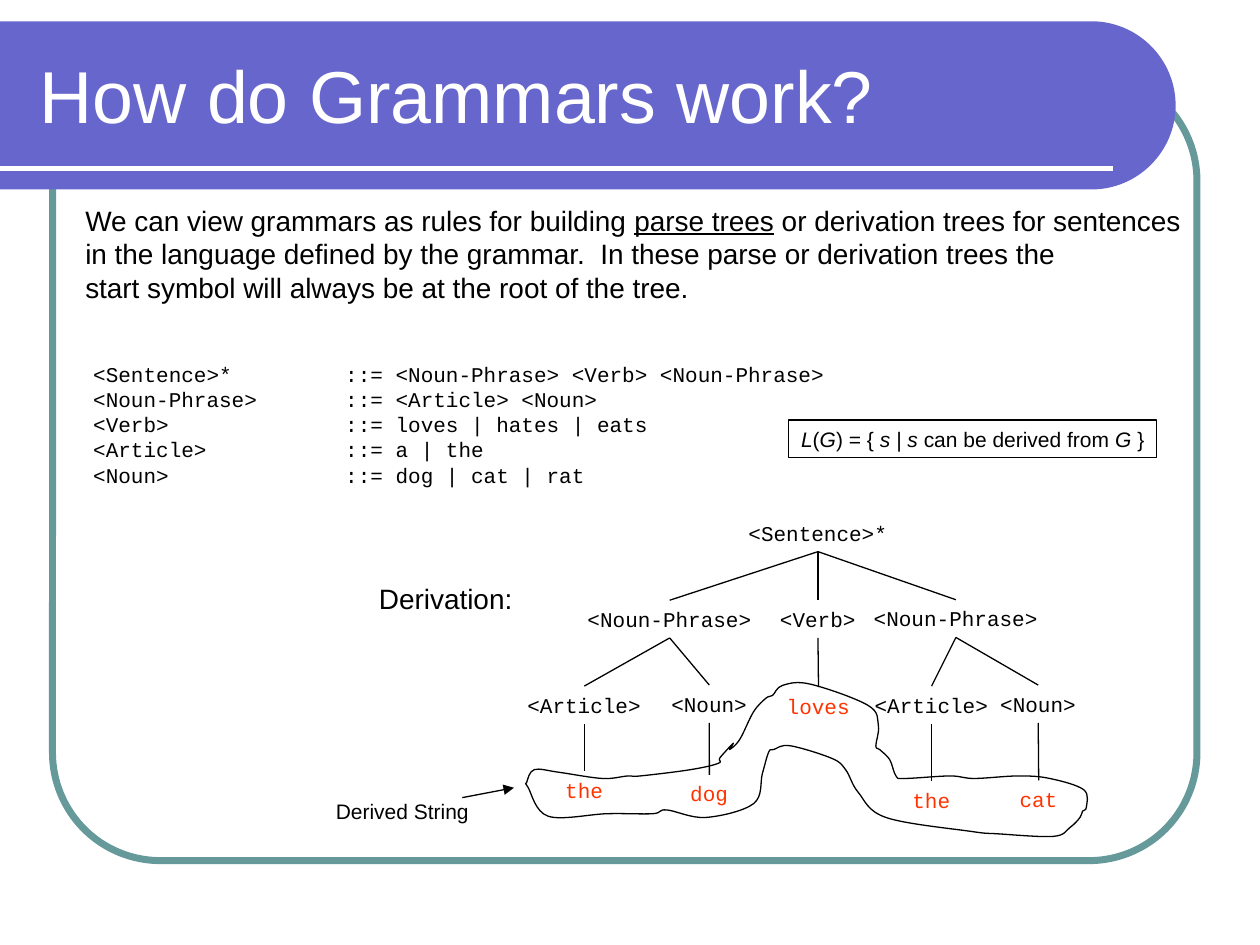
from lxml import etree
from pptx import Presentation
from pptx import util as u
from pptx.dml import color
from pptx.enum import shapes, text
from pptx.oxml import ns

SANS, MONO = "Arial", "Courier New"
BLACK, WHITE, RED = "000000", "FFFFFF", "FF3300"
PURPLE, TEAL = "6666CC", "669999"

INTRO = [
    [("We can view grammars as rules for building ", ""), ("parse trees", "u"),
     (" or derivation trees for sentences", "")],
    [("in the language defined by the grammar.  In these parse or derivation trees the ", ""),
     ("\n", ""), ("start symbol will always be at the root of the tree.", "")],
]
RULES = [
    ("<Sentence>*", "<Noun-Phrase> <Verb> <Noun-Phrase>"),
    ("<Noun-Phrase>", "<Article> <Noun>"),
    ("<Verb>", "loves | hates | eats"),
    ("<Article>", "a | the"),
    ("<Noun>", "dog | cat | rat"),
]
FORMULA = [[("L", "i"), ("(", ""), ("G", "i"), (") = { ", ""), ("s | s", "i"),
            (" can be derived from ", ""), ("G", "i"), (" }", "")]]

# Each node: label, centre and top in cm within the tree's box, children
TREE = ("<Sentence>*", 6.13, 0, [
    ("<Noun-Phrase>", 3.14, 1.74, [
        ("<Article>", 1.42, 3.47, [("the", 1.42, 5.18, [])]),
        ("<Noun>", 3.94, 3.45, [("dog", 3.94, 5.26, [])])]),
    ("<Verb>", 6.13, 1.74, [("loves", 6.14, 3.49, [])]),
    ("<Noun-Phrase>", 8.91, 1.73, [
        ("<Article>", 8.42, 3.47, [("the", 8.42, 5.39, [])]),
        ("<Noun>", 10.57, 3.45, [("cat", 10.58, 5.37, [])])]),
])

# Hand-drawn loop around the leaves, on a grid of 444 by 123 units
LOOP_GRID = (444, 123)
LOOP = [
    (6, 70), (0, 80), (1, 84), (17, 107), (64, 105), (100, 105), (111, 102), (142, 108),
    (180, 97), (187, 73), (192, 56), (196, 54), (209, 51), (242, 61), (253, 70), (263, 88),
    (285, 108), (352, 119), (374, 121), (418, 123), (431, 116), (439, 108), (441, 103),
    (444, 100), (442, 86), (415, 77), (390, 75), (355, 77), (336, 75), (300, 77), (293, 75),
    (288, 62), (280, 54), (277, 51), (279, 35), (271, 19), (225, 2), (203, 3), (195, 11),
    (190, 13), (180, 24), (169, 46), (161, 54), (164, 49), (160, 53), (153, 61), (152, 65),
    (130, 70), (90, 75), (80, 75), (60, 77), (25, 72),
]


def rgb(value):
    return color.RGBColor.from_string(value)


def style(shape, fill=None, line=None, width=0.75):
    shape.shadow.inherit = False
    if fill:
        shape.fill.solid()
        shape.fill.fore_color.rgb = rgb(fill)
    else:
        shape.fill.background()
    if line:
        shape.line.color.rgb = rgb(line)
        shape.line.width = u.Pt(width)
    else:
        shape.line.fill.background()


def add_line(slide, start, end, line=BLACK, width=0.75, arrow=False):
    ends = [u.Cm(value) for value in (*start, *end)]
    connector = slide.shapes.add_connector(shapes.MSO_CONNECTOR.STRAIGHT, *ends)
    connector.line.color.rgb = rgb(line)
    connector.line.width = u.Pt(width)
    if arrow:
        etree.SubElement(connector.line._get_or_add_ln(), ns.qn("a:tailEnd"), type="triangle")
    etree.SubElement(connector._element.spPr, ns.qn("a:effectLst"))
    return connector


def add_outline(slide, start, segments, **look):
    """Closed outline in cm; a segment has one point (line) or three (curve)."""
    builder = slide.shapes.build_freeform(*map(u.Cm, start))
    builder.add_line_segments([tuple(map(u.Cm, segment[-1])) for segment in segments])
    shape = builder.convert_to_shape()
    lines = list(shape._element.iter(ns.qn("a:lnTo")))
    for line, segment in zip(lines, segments):
        if len(segment) == 3:
            line.tag = ns.qn("a:cubicBezTo")
            for index, (x, y) in enumerate(segment[:2]):
                point = etree.Element(ns.qn("a:pt"), x=str(u.Cm(x) - shape.left),
                                      y=str(u.Cm(y) - shape.top))
                line.insert(index, point)
    style(shape, **look)


def write(shape, paragraphs, size, font=SANS, ink=BLACK, tab=None):
    """Fill a shape with paragraphs of (text, marks) runs; marks are u and i."""
    frame = shape.text_frame
    frame.word_wrap = False
    for index, runs in enumerate(paragraphs):
        paragraph = frame.paragraphs[0] if index == 0 else frame.add_paragraph()
        paragraph.alignment = text.PP_ALIGN.LEFT
        if tab:
            tabs = etree.SubElement(paragraph._p.get_or_add_pPr(), ns.qn("a:tabLst"))
            etree.SubElement(tabs, ns.qn("a:tab"), pos=str(u.Cm(tab)), algn="l")
        paragraph.line_spacing = u.Pt(1.2 * size)
        paragraph.font.size = u.Pt(size)
        for words, marks in runs:
            if words == "\n":
                paragraph.add_line_break()
                continue
            run = paragraph.add_run()
            run.text = words
            run.font.size = u.Pt(size)
            run.font.name = font
            run.font.color.rgb = rgb(ink)
            if "u" in marks:
                run.font.underline = True
            if "i" in marks:
                run.font.italic = True


def add_text(slide, box, paragraphs, size, **look):
    textbox = slide.shapes.add_textbox(*map(u.Cm, box))
    write(textbox, paragraphs, size, **look)
    return textbox


def add_frame(slide, box):
    frame = slide.shapes.add_shape(shapes.MSO_SHAPE.ROUNDED_RECTANGLE, *map(u.Cm, box))
    frame.adjustments[0] = 0.137
    style(frame, line=TEAL, width=4)


def add_title_band(slide, box, title):
    left, top, width, height = box
    radius = height / 2
    right, middle, bottom = left + width, top + radius, top + height
    bend, pull = right - radius, 0.55 * radius
    add_outline(slide, (left, top), [
        [(bend, top)],
        [(bend + pull, top), (right, middle - pull), (right, middle)],
        [(right, middle + pull), (bend + pull, bottom), (bend, bottom)],
        [(left, bottom)],
    ], fill=PURPLE)
    add_line(slide, (left, top + 2.96), (left + 22.43, top + 2.96), WHITE, 3)
    heading = add_text(slide, (left + 0.55, top + 0.2, 22.28, 2.54),
                       [[(title, "")]], 42, ink=WHITE)
    heading.text_frame.vertical_anchor = text.MSO_ANCHOR.MIDDLE
    heading.text_frame.paragraphs[0].line_spacing = 1.0


def add_formula(slide, box):
    formula = slide.shapes.add_shape(shapes.MSO_SHAPE.RECTANGLE, *map(u.Cm, box))
    style(formula, line=BLACK)
    write(formula, FORMULA, 12)


def add_tree(slide, origin, node, parent=None):
    """Place a node, join it to its parent, then place its children."""
    label, centre, top, children = node
    width = 0.51 + 0.254 * len(label)
    x, y = origin[0] + centre, origin[1] + top
    shape = add_text(slide, (x - width / 2, y, width, 0.76), [[(label, "")]], 12,
                     font=MONO, ink=BLACK if children else RED)
    if parent:
        branch = add_line(slide, (x, y), (x, y))
        branch.begin_connect(parent, 2)
        branch.end_connect(shape, 0)
    for child in children:
        add_tree(slide, origin, child, shape)


def smooth(points):
    """Curve segments of a closed Catmull-Rom loop through the points."""
    segments = []
    for index in range(len(points)):
        before, start, end, after = (points[(index + shift) % len(points)]
                                     for shift in (-1, 0, 1, 2))
        leave = tuple(s + (e - b) / 6 for b, s, e in zip(before, start, end))
        arrive = tuple(e - (a - s) / 6 for s, e, a in zip(start, end, after))
        segments.append([leave, arrive, end])
    return segments


def add_derived_string(slide, box):
    left, top, width, height = box
    columns, rows = LOOP_GRID
    points = [(left + x * width / columns, top + y * height / rows) for x, y in LOOP]
    add_outline(slide, points[0], smooth(points), line=BLACK)
    add_text(slide, (left - 4.1, top + 2.24, 3.3, 0.76), [[("Derived String", "")]], 12)
    add_line(slide, (left - 1.3, top + 2.34), (left - 0.26, top + 2.14), arrow=True)


def main():
    presentation = Presentation()
    presentation.slide_width, presentation.slide_height = u.Cm(25.4), u.Cm(19.05)
    slide = presentation.slides.add_slide(presentation.slide_layouts[6])
    add_frame(slide, (1.06, 1.47, 23.07, 15.88))
    add_title_band(slide, (0, 0.43, 23.7, 3.39), "How do Grammars work?")
    add_text(slide, (1.47, 3.97, 22.61, 2.29), INTRO, 16)
    rules = [[(f"{symbol}\t::= {expansion}", "")] for symbol, expansion in RULES]
    add_text(slide, (1.63, 7.16, 15.24, 2.79), rules, 12, font=MONO, tab=5.08)
    add_tree(slide, (10.36, 10.36), TREE)
    add_text(slide, (7.39, 11.59, 3.2, 0.94), [[("Derivation:", "")]], 16)
    add_derived_string(slide, (10.62, 13.74, 11.28, 3.12))
    add_formula(slide, (15.9, 8.47, 7.42, 0.76))
    presentation.save("out.pptx")


if __name__ == "__main__":
    main()
